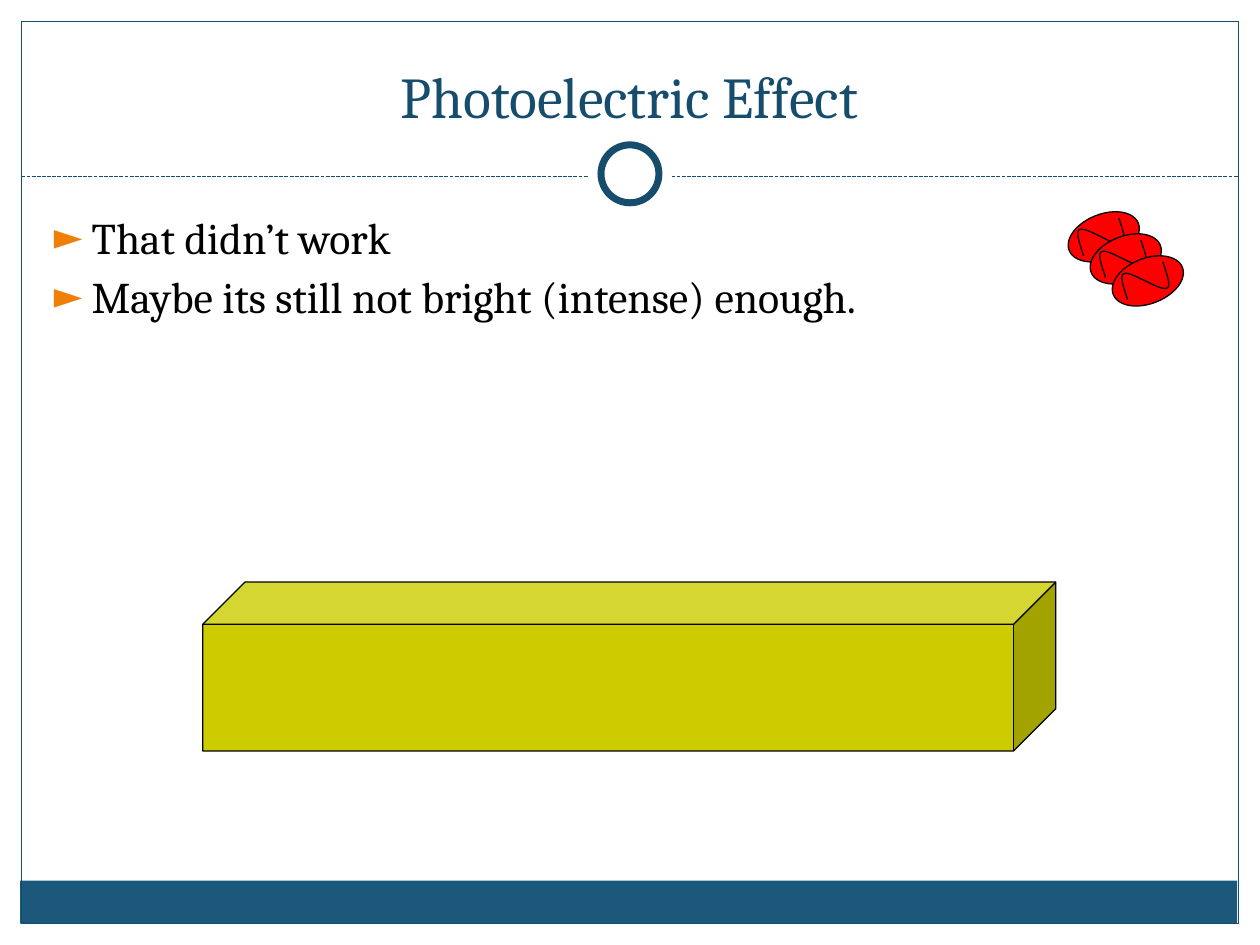
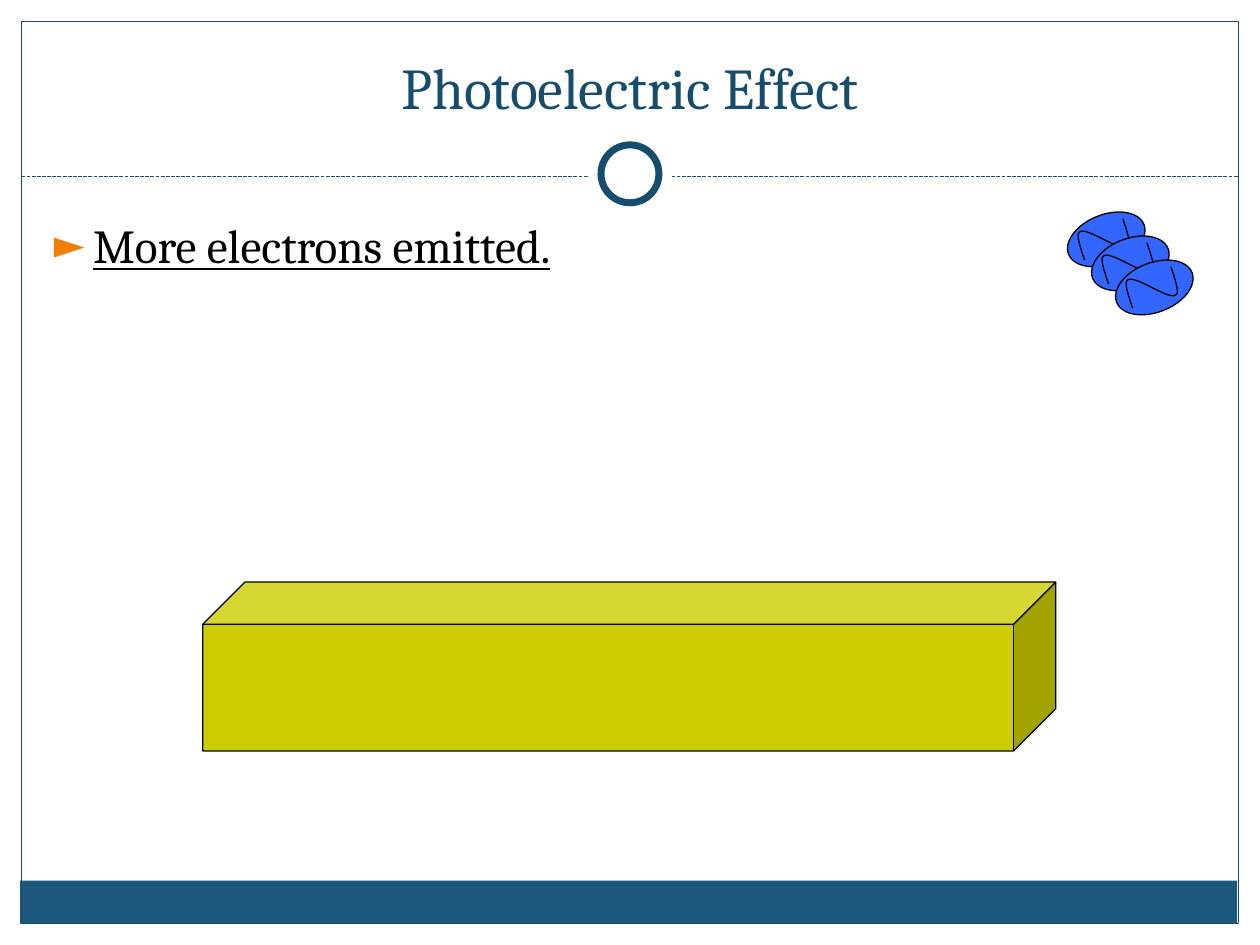
from dataclasses import dataclass
from lxml import etree
from pptx import Presentation
from pptx import util as u
from pptx.dml.color import RGBColor
from pptx.enum import dml, shapes, text
from pptx.oxml.ns import qn

SLIDES = [
    dict(title="Photoelectric Effect", title_box=(0.33, 0.25, 9.33, 0.83),
         points=["That didn’t work", "Maybe its still not bright (intense) enough."],
         points_box=(0.33, 1.67, 7.74, 1.37), size=25, spacing=0.9, underline=None,
         indent=0.3, photon="FF0000", scale=1.0, first_photon=(8.76, 1.88)),
    dict(title="Photoelectric Effect", title_box=(0.33, -0.24, 9.34, 1.25),
         points=["More electrons emitted."],
         points_box=(0.33, 1.67, 7.11, 1.29), size=27, spacing=None, underline=True,
         indent=0.31, photon="3366FF", scale=1.09, first_photon=(8.78, 1.9)),
]


@dataclass(frozen=True)
class Theme:
    font: str = "Cambria"
    title_size: int = 33
    navy: str = "164C6C"
    band: str = "1B587C"
    paper: str = "FFFFFF"
    ink: str = "000000"
    bullet: str = "F07F09"
    metal: str = "CCCC00"
    thin: float = 0.75
    ring: float = 4


THEME = Theme()
WIDTH, HEIGHT, MARGIN = 10, 7.5, 0.17
RULE_Y, RING_Y, HEADER_HEIGHT = 1.4, 1.38, 1.52
PHOTONS, PHOTON_STEP, PHOTON_SIZE, PHOTON_TILT = 3, 0.175, (0.36, 0.59), 68.5
WAVE_SHIFT = -0.02
HALF_WAVE = [(0, 0), (0.08, 0.04), (0.16, 0.08), (0.18, 0.05),
             (0.2, 0.03), (0.17, -0.06), (0.14, -0.15)]


def inches(values):
    return [u.Inches(value) for value in values]


def colour(code):
    return RGBColor.from_string(code)


def paint(shape, fill=None, line=None, width=THEME.thin):
    shape.shadow.inherit = False
    if fill:
        shape.fill.solid()
        shape.fill.fore_color.rgb = colour(fill)
    else:
        shape.fill.background()
    if line:
        shape.line.color.rgb = colour(line)
        shape.line.width = u.Pt(width)
    else:
        shape.line.fill.background()
    return shape


def add_preset(parent, kind, box, **style):
    return paint(parent.add_shape(kind, *inches(box)), **style)


def add_disc(parent, centre, size, **style):
    corner = [middle - side / 2 for middle, side in zip(centre, size)]
    return add_preset(parent, shapes.MSO_SHAPE.OVAL, (*corner, *size), **style)


def add_frame(parent):
    rectangle = shapes.MSO_SHAPE.RECTANGLE
    inner_width, inner_height = WIDTH - 2 * MARGIN, HEIGHT - 2 * MARGIN
    bands = [
        ((0, 0, WIDTH, HEADER_HEIGHT), THEME.paper),
        ((0, 0, MARGIN, HEIGHT), THEME.paper),
        ((WIDTH - MARGIN, 0, MARGIN, HEIGHT), THEME.paper),
        ((0.16, 6.99, inner_width, 0.34), THEME.band),
    ]
    for box, fill in bands:
        add_preset(parent, rectangle, box, fill=fill)
    add_preset(parent, rectangle, (MARGIN, MARGIN, inner_width, inner_height), line=THEME.navy)
    rule = parent.add_connector(shapes.MSO_CONNECTOR.STRAIGHT,
                                *inches((MARGIN, RULE_Y, WIDTH - MARGIN, RULE_Y)))
    rule.line.color.rgb = colour(THEME.navy)
    rule.line.width = u.Pt(THEME.thin)
    rule.line.dash_style = dml.MSO_LINE.SQUARE_DOT
    etree.SubElement(rule.element.spPr, qn("a:effectLst"))
    centre = (WIDTH / 2, RING_Y)
    add_disc(parent, centre, (0.67, 0.67), fill=THEME.paper)
    add_disc(parent, centre, (0.46, 0.46), fill=THEME.paper, line=THEME.navy, width=THEME.ring)


def move_to_layout(slide):
    for shape in list(slide.shapes):
        slide.slide_layout.shapes.element.append(shape.element)


def add_span(para, words, size, ink, underline=None):
    span = para.add_run()
    span.text = words
    span.font.name = THEME.font
    span.font.size = u.Pt(size)
    span.font.color.rgb = colour(ink)
    span.font.underline = underline


def add_title(slide, content):
    frame = slide.shapes.add_textbox(*inches(content["title_box"])).text_frame
    frame.word_wrap = True
    frame.vertical_anchor = text.MSO_ANCHOR.BOTTOM
    para = frame.paragraphs[0]
    para.alignment = text.PP_ALIGN.CENTER
    add_span(para, content["title"], THEME.title_size, THEME.navy)


def add_bullet(para, indent):
    properties = para._p.get_or_add_pPr()
    properties.set("marL", str(u.Inches(indent)))
    properties.set("indent", str(u.Inches(-indent)))
    tint = etree.SubElement(properties, qn("a:buClr"))
    etree.SubElement(tint, qn("a:srgbClr"), val=THEME.bullet)
    etree.SubElement(properties, qn("a:buSzPct"), val="85000")
    etree.SubElement(properties, qn("a:buFont"), typeface=THEME.font)
    etree.SubElement(properties, qn("a:buChar"), char="►")


def add_points(slide, content):
    frame = slide.shapes.add_textbox(*inches(content["points_box"])).text_frame
    frame.word_wrap = True
    for index, point in enumerate(content["points"]):
        para = frame.add_paragraph() if index else frame.paragraphs[0]
        add_bullet(para, content["indent"])
        para.line_spacing = content["spacing"]
        if index:
            para.space_before = u.Pt(6.8)
        add_span(para, point, content["size"], THEME.ink, content["underline"])


def bend_segments(shape):
    segments = list(shape.element.iter(qn("a:lnTo")))
    for first in range(0, len(segments), 3):
        curve = etree.Element(qn("a:cubicBezTo"))
        segments[first].addprevious(curve)
        for segment in segments[first:first + 3]:
            curve.append(segment[0])
            segment.getparent().remove(segment)


def add_half_wave(parent, centre, scale):
    points = [inches((centre[0] + scale * x, centre[1] + scale * y)) for x, y in HALF_WAVE]
    builder = parent.build_freeform(*points[0])
    builder.add_line_segments(points[1:], close=False)
    wave = paint(builder.convert_to_shape(), line=THEME.ink)
    bend_segments(wave)


def add_photons(slide, content):
    parent = slide.shapes.add_group_shape().shapes
    scale = content["scale"]
    for index in range(PHOTONS):
        x, y = [start + index * PHOTON_STEP * scale for start in content["first_photon"]]
        body = add_disc(parent, (x, y), [side * scale for side in PHOTON_SIZE],
                        fill=content["photon"], line=THEME.ink)
        body.rotation = PHOTON_TILT
        for direction in (-1, 1):
            add_half_wave(parent, (x + WAVE_SHIFT, y), direction * scale)


def main():
    deck = Presentation()
    deck.slide_width, deck.slide_height = inches((WIDTH, HEIGHT))
    blank = deck.slide_layouts[6]
    for index, content in enumerate(SLIDES):
        slide = deck.slides.add_slide(blank)
        if index == 0:
            add_frame(slide.shapes)
            move_to_layout(slide)
        add_photons(slide, content)
        add_title(slide, content)
        add_preset(slide.shapes, shapes.MSO_SHAPE.CUBE, (1.61, 4.62, 6.77, 1.34),
                   fill=THEME.metal, line=THEME.ink)
        add_points(slide, content)
    deck.save("out.pptx")


if __name__ == "__main__":
    main()
